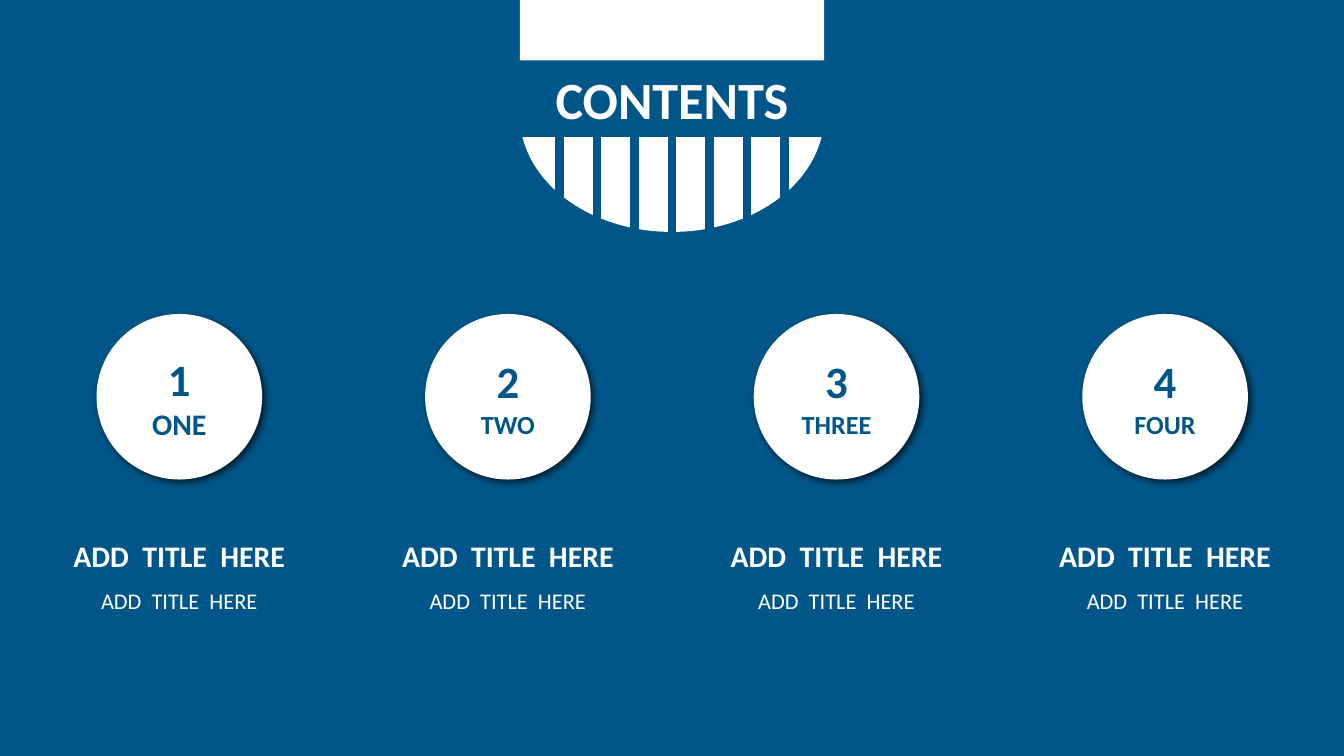
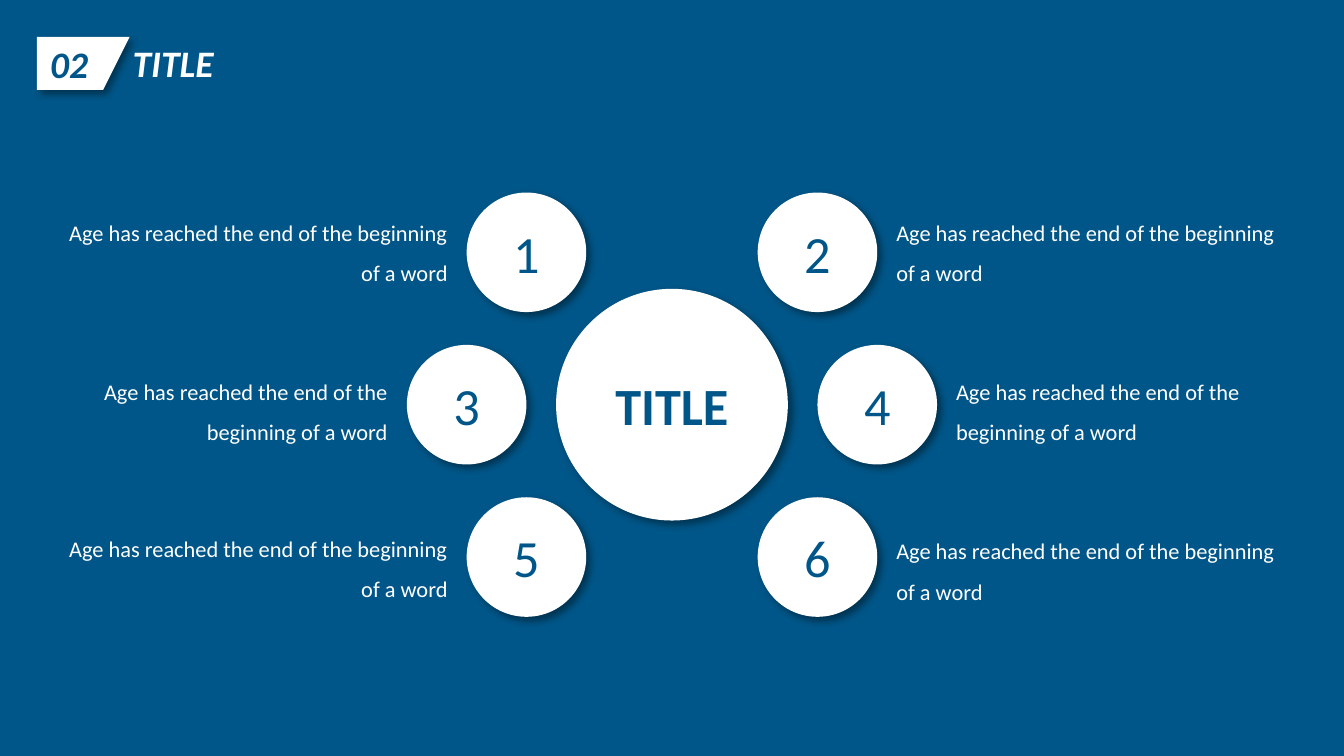
from dataclasses import dataclass

from lxml import etree
from pptx import Presentation
from pptx.dml.color import RGBColor
from pptx.enum.shapes import MSO_CONNECTOR, MSO_SHAPE
from pptx.enum.text import MSO_ANCHOR, MSO_AUTO_SIZE, PP_ALIGN
from pptx.oxml.ns import qn
from pptx.util import Cm, Pt

OVAL = MSO_SHAPE.OVAL
RECT = MSO_SHAPE.RECTANGLE
DELAY = MSO_SHAPE.FLOWCHART_DELAY
STRAIGHT = MSO_CONNECTOR.STRAIGHT
TOP, MIDDLE = MSO_ANCHOR.TOP, MSO_ANCHOR.MIDDLE
GROW = MSO_AUTO_SIZE.SHAPE_TO_FIT_TEXT
LEFT, CENTER, RIGHT = PP_ALIGN.LEFT, PP_ALIGN.CENTER, PP_ALIGN.RIGHT


@dataclass(frozen=True)
class Theme:
    blue: RGBColor = RGBColor(0x00, 0x56, 0x88)
    white: RGBColor = RGBColor(0xFF, 0xFF, 0xFF)
    shade: str = "000000"
    font: str = "Calibri"
    huge: int = 28
    large: int = 24
    head: int = 20
    label: int = 16
    small: int = 14
    body: int = 12
    deep: tuple = (65, 4, 2)
    soft: tuple = (40, 4, 3)


class Deck:
    def __init__(self, theme):
        self.theme = theme
        self.file = Presentation()
        self.file.slide_width, self.file.slide_height = Cm(25.4), Cm(14.29)
        self.slide = None

    def page(self):
        self.slide = self.file.slides.add_slide(self.file.slide_layouts[6])
        fill = self.slide.background.fill
        fill.solid()
        fill.fore_color.rgb = self.theme.blue

    def paint(self, shape, color, shadow=None):
        shape.fill.solid()
        shape.fill.fore_color.rgb = color
        shape.line.fill.background()
        shape.shadow.inherit = False
        if shadow:
            alpha, blur, dist = shadow
            effect = shape._element.spPr.find(qn("a:effectLst"))
            outer = etree.SubElement(
                effect, qn("a:outerShdw"), blurRad=str(Pt(blur)),
                dist=str(Pt(dist)), dir=str(45 * 60000), algn="tl", rotWithShape="0")
            tint = etree.SubElement(outer, qn("a:srgbClr"), val=self.theme.shade)
            etree.SubElement(tint, qn("a:alpha"), val=str(alpha * 1000))

    def label(self, shape, rows, color, align=CENTER, anchor=MIDDLE,
              space=None, italic=False, grow=False):
        frame = shape.text_frame
        frame.word_wrap = True
        frame.vertical_anchor = anchor
        if grow:
            frame.auto_size = GROW
        for i, (text, size, bold) in enumerate(rows):
            para = frame.add_paragraph() if i else frame.paragraphs[0]
            para.text = text
            para.alignment = align
            para.line_spacing = space
            font = para.font
            font.name, font.size = self.theme.font, Pt(size)
            font.bold, font.italic = bold, italic
            font.color.rgb = color

    def shape(self, kind, x, y, w, h, color, shadow=None):
        item = self.slide.shapes.add_shape(kind, Cm(x), Cm(y), Cm(w), Cm(h))
        self.paint(item, color, shadow)
        return item

    def disc(self, x, y, size, rows, shadow):
        item = self.shape(OVAL, x - size / 2, y - size / 2, size, size,
                          self.theme.white, shadow)
        self.label(item, rows, self.theme.blue)

    def text(self, x, y, w, h, rows, align=CENTER, space=None, italic=False):
        box = self.slide.shapes.add_textbox(Cm(x), Cm(y), Cm(w), Cm(h))
        self.label(box, rows, self.theme.white, align, TOP, space, italic, True)
        return box

    def line(self, x, top, end):
        bar = self.slide.shapes.add_connector(STRAIGHT, Cm(x), Cm(top), Cm(x), Cm(end))
        bar.line.color.rgb = self.theme.blue
        bar.line.width = Pt(4.5)
        etree.SubElement(bar._element.spPr, qn("a:effectLst"))

    def header(self, number, title):
        theme = self.theme
        start, *rest = [(Cm(x), Cm(y)) for x, y in
                        ((0.7, 0.7), (2.45, 0.7), (1.95, 1.7), (0.7, 1.7))]
        pen = self.slide.shapes.build_freeform(*start)
        pen.add_line_segments(rest, close=True)
        tag = pen.convert_to_shape()
        self.paint(tag, theme.white, theme.soft)
        self.label(tag, [(number, theme.head, True)], theme.blue, LEFT, italic=True)
        name = self.text(2.08, 0.64, 2.39, 1.12, [(title, theme.head, True)], italic=True)
        self.slide.shapes.add_group_shape([tag, name])


def contents(deck):
    theme, mid = deck.theme, 12.7
    deck.page()
    dome = deck.shape(DELAY, mid - 2.2, -0.69, 4.4, 5.75, theme.white)
    dome.rotation = 90
    band = deck.shape(RECT, mid - 3.5, 1.14, 7, 1.45, theme.blue)
    deck.label(band, [("CONTENTS", theme.huge, True)], theme.white, anchor=TOP, grow=True)
    for i in range(-3, 4):
        deck.line(mid + 0.71 * i, 2.51, 4.8)

    words = (("ONE", theme.label), ("TWO", theme.small),
             ("THREE", theme.small), ("FOUR", theme.small))
    hint = "ADD  TITLE  HERE"
    for i, (word, size) in enumerate(words):
        x = 3.39 + 6.21 * i
        deck.disc(x, 7.5, 3.13, [(str(i + 1), theme.large, True), (word, size, True)],
                  theme.deep)
        deck.text(x - 2.8, 9.7, 5.6, 2.06,
                  [(hint, theme.label, True), (hint, theme.body, False)], space=1.5)


def wheel(deck):
    theme, mid, level, size, gap = deck.theme, 12.7, 7.65, 2.26, 0.11
    deck.page()
    deck.header("02", "TITLE")
    deck.disc(mid, level, 4.38, [("TITLE", theme.huge, True)], theme.soft)
    note = [("Age has reached the end of the beginning of a word", theme.body, False)]
    rows = ((2.75, 8, 3.76, 3.76), (3.88, 6.88, 6.76, 6.76), (2.75, 8, 9.73, 9.78))
    for i, (reach, wide, *tops) in enumerate(rows):
        edge = reach + size / 2 + gap
        sides = ((-1, mid - edge - wide, RIGHT), (1, mid + edge, LEFT))
        for j, (sign, x, align) in enumerate(sides):
            deck.disc(mid + sign * reach, level + 2.88 * (i - 1), size,
                      [(str(2 * i + j + 1), theme.huge, False)], theme.soft)
            deck.text(x, tops[j], wide, 1.8, note, align, 1.5)


def main():
    deck = Deck(Theme())
    contents(deck)
    wheel(deck)
    deck.file.save("out.pptx")


if __name__ == "__main__":
    main()
